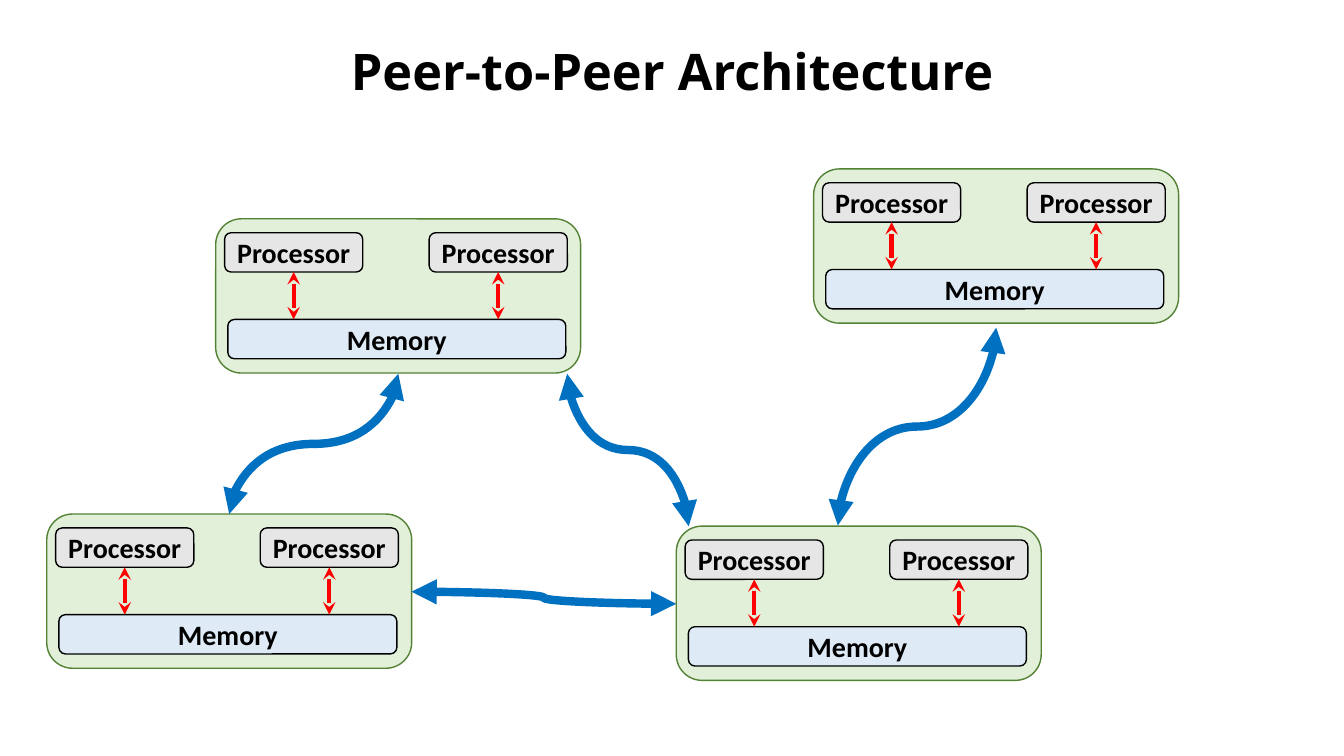
import pptx
import pptx.dml.color
import pptx.enum.shapes
import pptx.enum.text
import pptx.oxml
import pptx.oxml.ns
import pptx.util
from lxml import etree

SLIDE_W, SLIDE_H = pptx.util.Inches(13.33), pptx.util.Inches(7.5)
COLORS = {
    "text": "000000",
    "peer": "E2F0D9",
    "peer_edge": "548235",
    "processor": "E7E6E6",
    "memory": "DEEBF7",
    "edge": "000000",
    "bus": "FF0000",
    "link": "0070C0",
}

# All lengths are percentages of the slide's width (x) or height (y).
PEER_W, PEER_H = 27.15, 20.4
PEERS = [(16.05, 28.95), (3.48, 68), (50.32, 69.6), (60.54, 22.35)]
PROCESSOR_W, UNIT_H = 10.28, 5.2
PROCESSOR_XS, PROCESSOR_Y = (0.66, 15.88), 1.83
MEMORY_X, MEMORY_Y, MEMORY_W = 0.9, 13.3, 25.15

# Start, end and rotation of each link between peers.
LINKS = [
    ((17.05, 68), (29.63, 49.45), 90),
    ((30.62, 78.27), (50.32, 79.87), 0),
    ((42.2, 49.45), (51.24, 69.6), 270),
    ((74.12, 43.35), (62.34, 69.5), 90),
]


def across(share):
    return round(SLIDE_W * share / 100)


def down(share):
    return round(SLIDE_H * share / 100)


def rgb(name):
    return pptx.dml.color.RGBColor.from_string(COLORS[name])


def write(holder, text, font="Calibri", size=20, line_spacing=None):
    """Put one bold, centred line of text in a shape or text box."""
    frame = holder.text_frame
    frame.word_wrap = True
    frame.vertical_anchor = pptx.enum.text.MSO_ANCHOR.MIDDLE
    frame.margin_top = frame.margin_bottom = 0
    paragraph = frame.paragraphs[0]
    paragraph.alignment = pptx.enum.text.PP_ALIGN.CENTER
    if line_spacing:
        paragraph.line_spacing = line_spacing
    run = paragraph.add_run()
    run.text = text
    run.font.name = font
    run.font.size = pptx.util.Pt(size)
    run.font.bold = True
    run.font.color.rgb = rgb("text")


def add_block(shapes, x, y, width, height, fill, edge="edge", label=None):
    block = shapes.add_shape(
        pptx.enum.shapes.MSO_SHAPE.ROUNDED_RECTANGLE,
        across(x), down(y), across(width), down(height))
    block.shadow.inherit = False
    block.fill.solid()
    block.fill.fore_color.rgb = rgb(fill)
    block.line.color.rgb = rgb(edge)
    block.line.width = pptx.util.Pt(1)
    if label:
        write(block, label)


def add_double_arrow(shapes, kind, start, end, color, width, head):
    """Draw a line between two points in EMU with a head at both ends."""
    arrow = shapes.add_connector(kind, *start, *end)
    arrow.line.color.rgb = rgb(color)
    arrow.line.width = pptx.util.Pt(width)
    line = arrow.line._get_or_add_ln()
    for tag in ("a:headEnd", "a:tailEnd"):
        etree.SubElement(line, pptx.oxml.ns.qn(tag), type=head)
    etree.SubElement(arrow._element.spPr, pptx.oxml.ns.qn("a:effectLst"))
    return arrow


def add_peer(slide, x, y):
    shapes = slide.shapes.add_group_shape().shapes
    add_block(shapes, x, y, PEER_W, PEER_H, "peer", "peer_edge")
    for offset in PROCESSOR_XS:
        add_block(shapes, x + offset, y + PROCESSOR_Y, PROCESSOR_W, UNIT_H,
                  "processor", label="Processor")
    add_block(shapes, x + MEMORY_X, y + MEMORY_Y, MEMORY_W, UNIT_H,
              "memory", label="Memory")
    for offset in PROCESSOR_XS:
        bus_x = across(x + offset + PROCESSOR_W / 2)
        add_double_arrow(
            shapes, pptx.enum.shapes.MSO_CONNECTOR.STRAIGHT,
            (bus_x, down(y + PROCESSOR_Y + UNIT_H)),
            (bus_x, down(y + MEMORY_Y)), "bus", 3, "stealth")


def add_link(slide, start, end, rotation):
    """Draw a curved link; a rotated one leaves and arrives vertically."""
    start, end = [(across(x), down(y)) for x, y in (start, end)]
    if rotation:
        # Turn both ends back about the middle, as the rotation restores them.
        turn = 1 if rotation == 90 else -1
        middle_x, middle_y = [(a + b) // 2 for a, b in zip(start, end)]
        start, end = [(middle_x + turn * (y - middle_y),
                       middle_y - turn * (x - middle_x))
                      for x, y in (start, end)]
    link = add_double_arrow(
        slide.shapes, pptx.enum.shapes.MSO_CONNECTOR.CURVE,
        start, end, "link", 6, "triangle")
    if rotation:
        link._element.spPr.xfrm.set("rot", str(rotation * 60000))


def main():
    deck = pptx.Presentation()
    deck.slide_width, deck.slide_height = SLIDE_W, SLIDE_H
    slide = deck.slides.add_slide(deck.slide_layouts[6])
    for x, y in PEERS:
        add_peer(slide, x, y)
    for start, end, rotation in LINKS:
        add_link(slide, start, end, rotation)
    title = slide.shapes.add_textbox(0, down(0.13), SLIDE_W, down(19.33))
    write(title, "Peer-to-Peer Architecture", font="Noto Sans", size=36,
          line_spacing=0.9)
    deck.save("out.pptx")


if __name__ == "__main__":
    main()
